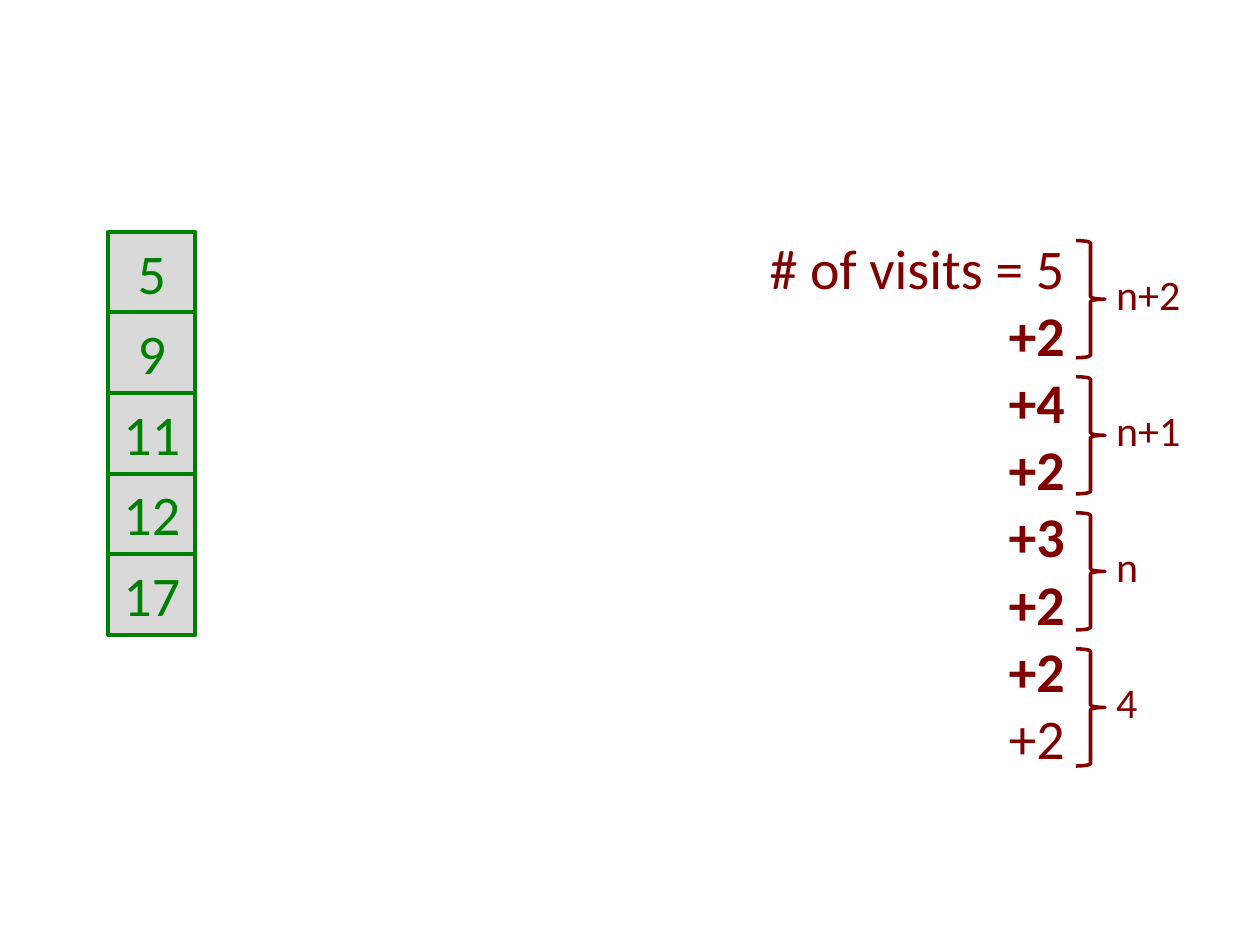
from pptx import Presentation
from pptx import util as u
from pptx.dml import color
from pptx.enum import shapes, text

GREEN, MAROON, GREY = "008000", "800000", "D9D9D9"
CENTER, RIGHT, LEFT = text.PP_ALIGN.CENTER, text.PP_ALIGN.RIGHT, text.PP_ALIGN.LEFT


def rgb(value):
    return color.RGBColor.from_string(value)


def write(shape, lines, size, colour, align, bold_lines=()):
    frame = shape.text_frame
    frame.word_wrap = True
    frame.vertical_anchor = text.MSO_ANCHOR.TOP
    frame.text = "\n".join(lines)
    for index, paragraph in enumerate(frame.paragraphs):
        paragraph.alignment = align
        paragraph.font.name = "Calibri"
        paragraph.font.size = u.Pt(size)
        paragraph.font.color.rgb = rgb(colour)
        paragraph.font.bold = index in bold_lines


def outline(shape, colour, width):
    shape.shadow.inherit = False
    shape.line.color.rgb = rgb(colour)
    shape.line.width = u.Pt(width)


def add_array(slide, left, top, width, height, values):
    """Column of equal cells, one for each value."""
    group = slide.shapes.add_group_shape()
    cell_height = height / len(values)
    for row, value in enumerate(values):
        cell = group.shapes.add_shape(
            shapes.MSO_SHAPE.RECTANGLE, u.Inches(left),
            u.Inches(top + row * cell_height), u.Inches(width), u.Inches(cell_height))
        cell.fill.solid()
        cell.fill.fore_color.rgb = rgb(GREY)
        outline(cell, GREEN, 2.25)
        write(cell, [value], 32, GREEN, CENTER)


def add_visits(slide, left, top, width, height, lines):
    """Running sum of visits; the middle terms are bold."""
    box = slide.shapes.add_textbox(
        u.Inches(left), u.Inches(top), u.Inches(width), u.Inches(height))
    write(box, lines, 32, MAROON, RIGHT, range(1, len(lines) - 1))


def add_braces(slide, left, top, pitch, labels):
    """Braces that each join two terms, with the subtotal to the right."""
    for row, label in enumerate(labels):
        group = slide.shapes.add_group_shape()
        brace_top = top + row * pitch
        brace = group.shapes.add_shape(
            shapes.MSO_SHAPE.RIGHT_BRACE, u.Inches(left), u.Inches(brace_top),
            u.Inches(0.23), u.Inches(0.93))
        brace.fill.background()
        outline(brace, MAROON, 2)
        caption = group.shapes.add_textbox(
            u.Inches(left + 0.22), u.Inches(brace_top + 0.17),
            u.Inches(0.72), u.Inches(0.5))
        write(caption, [label], 24, MAROON, LEFT)


def main():
    presentation = Presentation()
    presentation.slide_width = u.Inches(10)
    presentation.slide_height = u.Inches(7.5)
    slide = presentation.slides.add_slide(presentation.slide_layouts[6])

    add_array(slide, 0.86, 1.84, 0.69, 3.2, ["5", "9", "11", "12", "17"])
    add_visits(slide, 5.88, 1.8, 2.67, 4.42,
               ["# of visits = 5", "+2", "+4", "+2", "+3", "+2", "+2", "+2"])
    add_braces(slide, 8.54, 1.91, 1.08, ["n+2", "n+1", "n", "4"])

    presentation.save("out.pptx")


if __name__ == "__main__":
    main()
